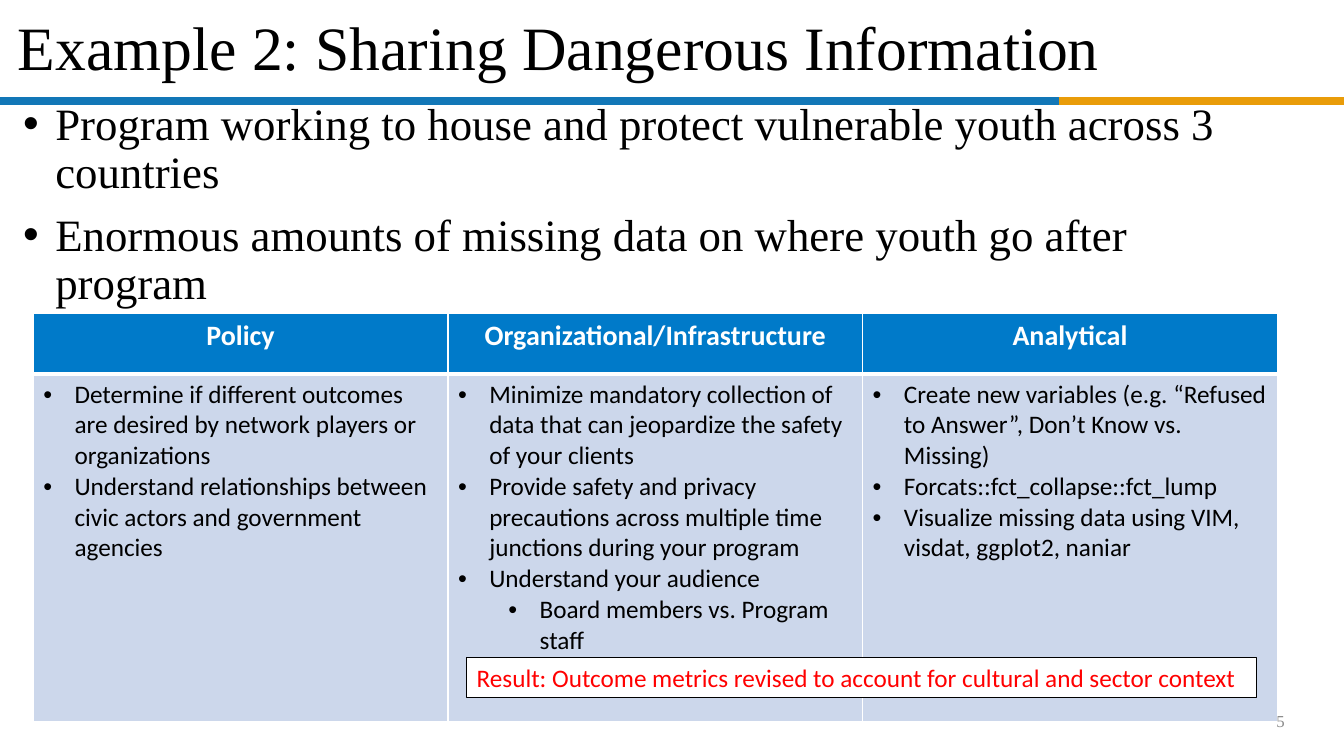
from dataclasses import dataclass

from lxml import etree
from pptx import Presentation
from pptx.dml.color import RGBColor
from pptx.enum.shapes import MSO_CONNECTOR, MSO_SHAPE
from pptx.enum.text import MSO_ANCHOR, PP_ALIGN
from pptx.oxml.ns import qn
from pptx.util import Inches, Pt

W, H = 13.33, 7.5


@dataclass(frozen=True)
class Theme:
    serif: str = "Times New Roman"
    sans: str = "Calibri"
    black: str = "000000"
    white: str = "FFFFFF"
    grey: str = "8C8C8C"
    red: str = "FF0000"
    rule_blue: str = "1277B7"
    rule_orange: str = "E99C09"
    header: str = "007AC9"
    body: str = "CCD7EB"
    title_pt: int = 44
    bullet_pt: int = 32
    header_pt: int = 20
    cell_pt: int = 18
    number_pt: int = 12


T = Theme()

TITLE = "Example 2: Sharing Dangerous Information"
POINTS = [
    "Program working to house and protect vulnerable youth across 3 countries",
    "Enormous amounts of missing data on where youth go after program",
]
# Each column: heading, then (level, text) items
STRATEGIES = [
    ("Policy", [
        (0, "Determine if different outcomes are desired by network players or organizations"),
        (0, "Understand relationships between civic actors and government agencies"),
    ]),
    ("Organizational/Infrastructure", [
        (0, "Minimize mandatory collection of data that can jeopardize the safety of your clients"),
        (0, "Provide safety and privacy precautions across multiple time junctions during your program"),
        (0, "Understand your audience"),
        (1, "Board members vs. Program staff"),
    ]),
    ("Analytical", [
        (0, "Create new variables (e.g. “Refused to Answer”, Don’t Know vs. Missing)"),
        (0, "Forcats::fct_collapse::fct_lump"),
        (0, "Visualize missing data using VIM, visdat, ggplot2, naniar"),
    ]),
]
RESULT = "Result: Outcome metrics revised to account for cultural and sector context"


def rgb(color):
    return RGBColor.from_string(color)


def inches(box):
    return [Inches(v) for v in box]


def set_font(p, name, size, color, bold=False):
    f = p.font
    f.name, f.size, f.bold = name, Pt(size), bold
    f.color.rgb = rgb(color)


def set_bullet(p, left, hang):
    pPr = p._p.get_or_add_pPr()
    pPr.set("marL", str(Inches(left)))
    pPr.set("indent", str(-Inches(hang)))
    font = etree.Element(qn("a:buFont"), typeface="Arial")
    char = etree.Element(qn("a:buChar"), char="•")
    pPr.insert_element_before(font, "a:tabLst", "a:defRPr", "a:extLst")
    font.addnext(char)


def paragraphs(tf, texts):
    """Fill the frame with one paragraph for each text and yield them."""
    for i, text in enumerate(texts):
        p = tf.add_paragraph() if i else tf.paragraphs[0]
        p.text = text
        yield p


def add_text(slide, box, texts, anchor=MSO_ANCHOR.TOP):
    tf = slide.shapes.add_textbox(*inches(box)).text_frame
    tf.word_wrap = True
    tf.vertical_anchor = anchor
    return list(paragraphs(tf, texts))


def add_rule(slide, y, split):
    """Two-colour line across the slide that changes colour at split."""
    for x1, x2, color in ((0, split, T.rule_blue), (split, W, T.rule_orange)):
        line = slide.shapes.add_connector(MSO_CONNECTOR.STRAIGHT, *inches((x1, y, x2, y)))
        line.line.color.rgb = rgb(color)
        line.line.width = Pt(6)
        etree.SubElement(line._element.spPr, qn("a:effectLst"))


def add_title(slide, box):
    p, = add_text(slide, box, [TITLE], MSO_ANCHOR.MIDDLE)
    p.line_spacing = 0.9
    set_font(p, T.serif, T.title_pt, T.black)


def add_points(slide, box):
    for p in add_text(slide, box, POINTS):
        p.line_spacing = 0.9
        p.space_before = Pt(10)
        set_bullet(p, 0.32, 0.32)
        set_font(p, T.serif, T.bullet_pt, T.black)


def style_cell(cell, fill, thick_side):
    cell.fill.solid()
    cell.fill.fore_color.rgb = rgb(fill)
    tcPr = cell._tc.get_or_add_tcPr()
    for i, side in enumerate(("lnL", "lnR", "lnT", "lnB")):
        ln = etree.Element(qn(f"a:{side}"), w=str(Pt(3 if side == thick_side else 1)))
        solid = etree.SubElement(ln, qn("a:solidFill"))
        etree.SubElement(solid, qn("a:srgbClr"), val=T.white)
        tcPr.insert(i, ln)


def add_strategies(slide, box, header_height):
    table = slide.shapes.add_table(2, len(STRATEGIES), *inches(box)).table
    table.rows[0].height = Inches(header_height)
    table.rows[1].height = Inches(box[3] - header_height)
    for col, (heading, items) in enumerate(STRATEGIES):
        table.columns[col].width = Inches(box[2] / len(STRATEGIES))
        head, body = table.cell(0, col), table.cell(1, col)
        style_cell(head, T.header, "lnB")
        style_cell(body, T.body, "lnT")
        for p in paragraphs(head.text_frame, [heading]):
            p.alignment = PP_ALIGN.CENTER
            set_font(p, T.sans, T.header_pt, T.white, bold=True)
        cell_paragraphs = paragraphs(body.text_frame, [text for _, text in items])
        for p, (level, _) in zip(cell_paragraphs, items):
            p.level = level
            set_bullet(p, 0.31 + 0.5 * level, 0.31)
            set_font(p, T.sans, T.cell_pt, T.black)


def add_result(slide, box):
    s = slide.shapes.add_shape(MSO_SHAPE.RECTANGLE, *inches(box))
    s.shadow.inherit = False
    s.fill.solid()
    s.fill.fore_color.rgb = rgb(T.white)
    s.line.color.rgb = rgb(T.black)
    s.line.width = Pt(0.75)
    tf = s.text_frame
    tf.word_wrap = True
    tf.vertical_anchor = MSO_ANCHOR.TOP
    for p in paragraphs(tf, [RESULT]):
        p.alignment = PP_ALIGN.LEFT
        set_font(p, T.sans, T.cell_pt, T.red)


def add_number(slide, box):
    p, = add_text(slide, box, ["5"], MSO_ANCHOR.MIDDLE)
    p.alignment = PP_ALIGN.RIGHT
    set_font(p, T.serif, T.number_pt, T.grey)


def main():
    prs = Presentation()
    prs.slide_width, prs.slide_height = Inches(W), Inches(H)
    slide = prs.slides.add_slide(prs.slide_layouts[6])
    add_rule(slide, 1, 10.5)
    add_title(slide, (0.08, 0.08, 13.05, 0.84))
    add_strategies(slide, (0.33, 3.11, 12.34, 4.05), 0.6)
    add_number(slide, (9.84, 6.95, 3, 0.4))
    add_points(slide, (0.13, 0.96, 12.32, 2.44))
    add_result(slide, (4.63, 6.52, 7.83, 0.4))
    prs.save("out.pptx")


if __name__ == "__main__":
    main()
